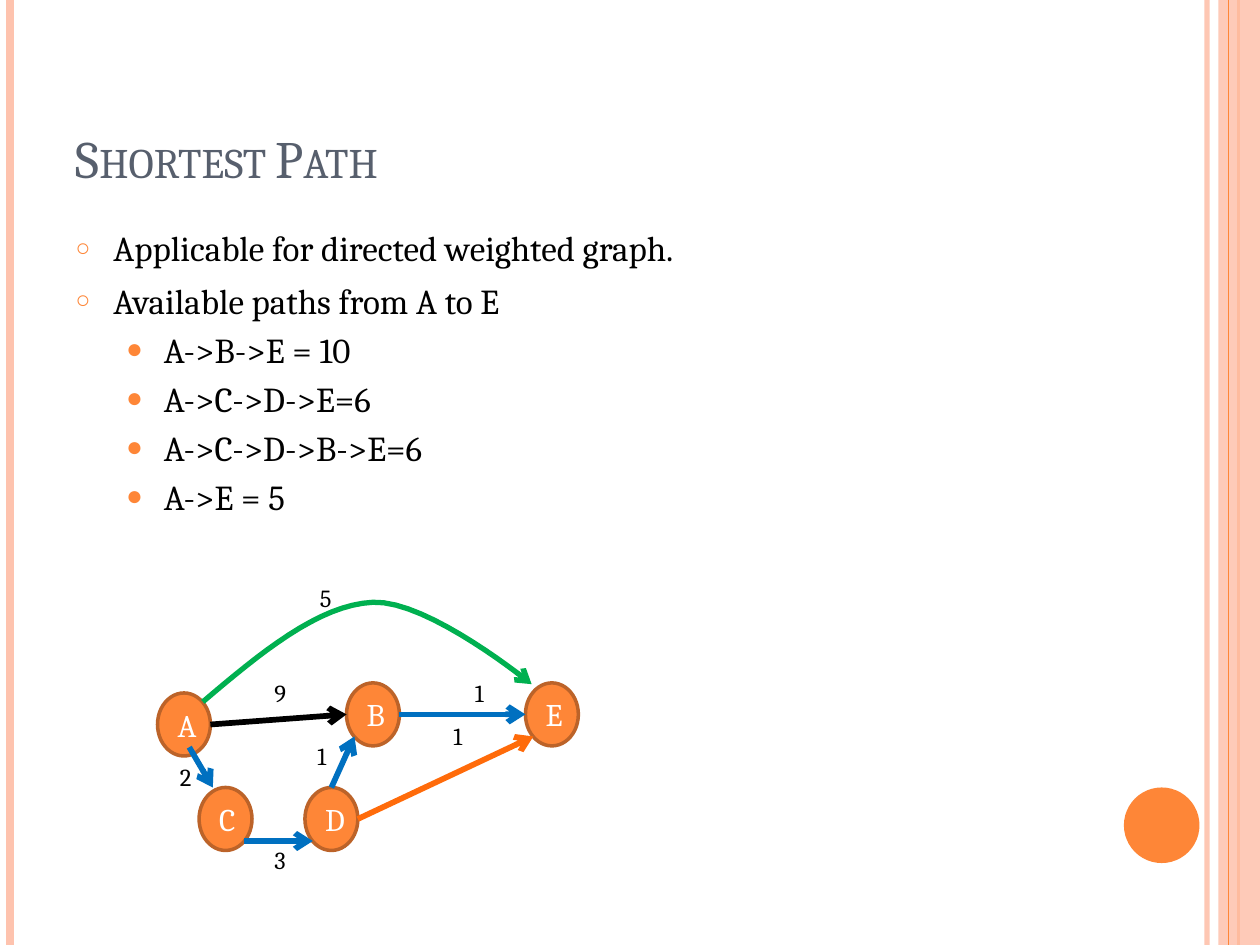
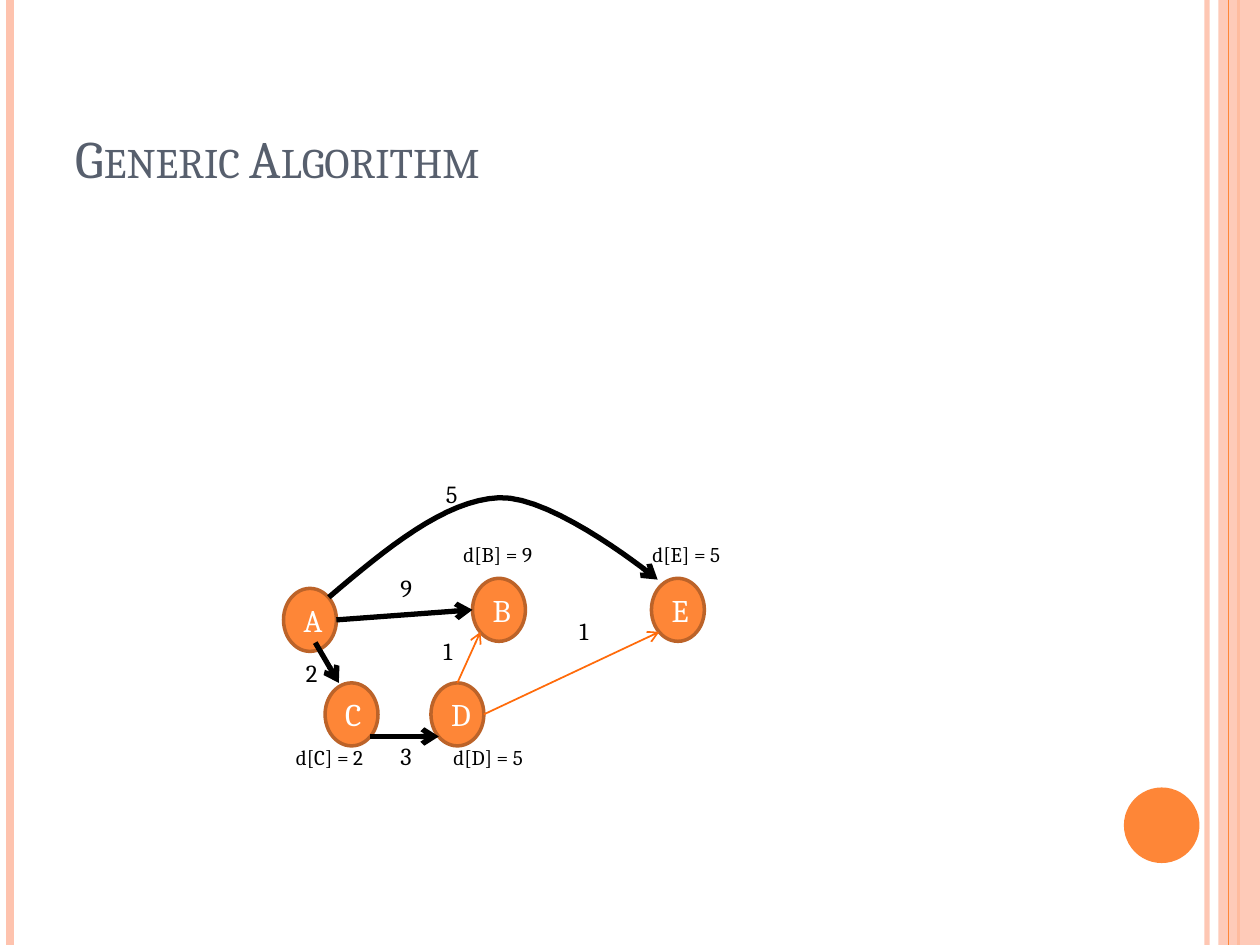
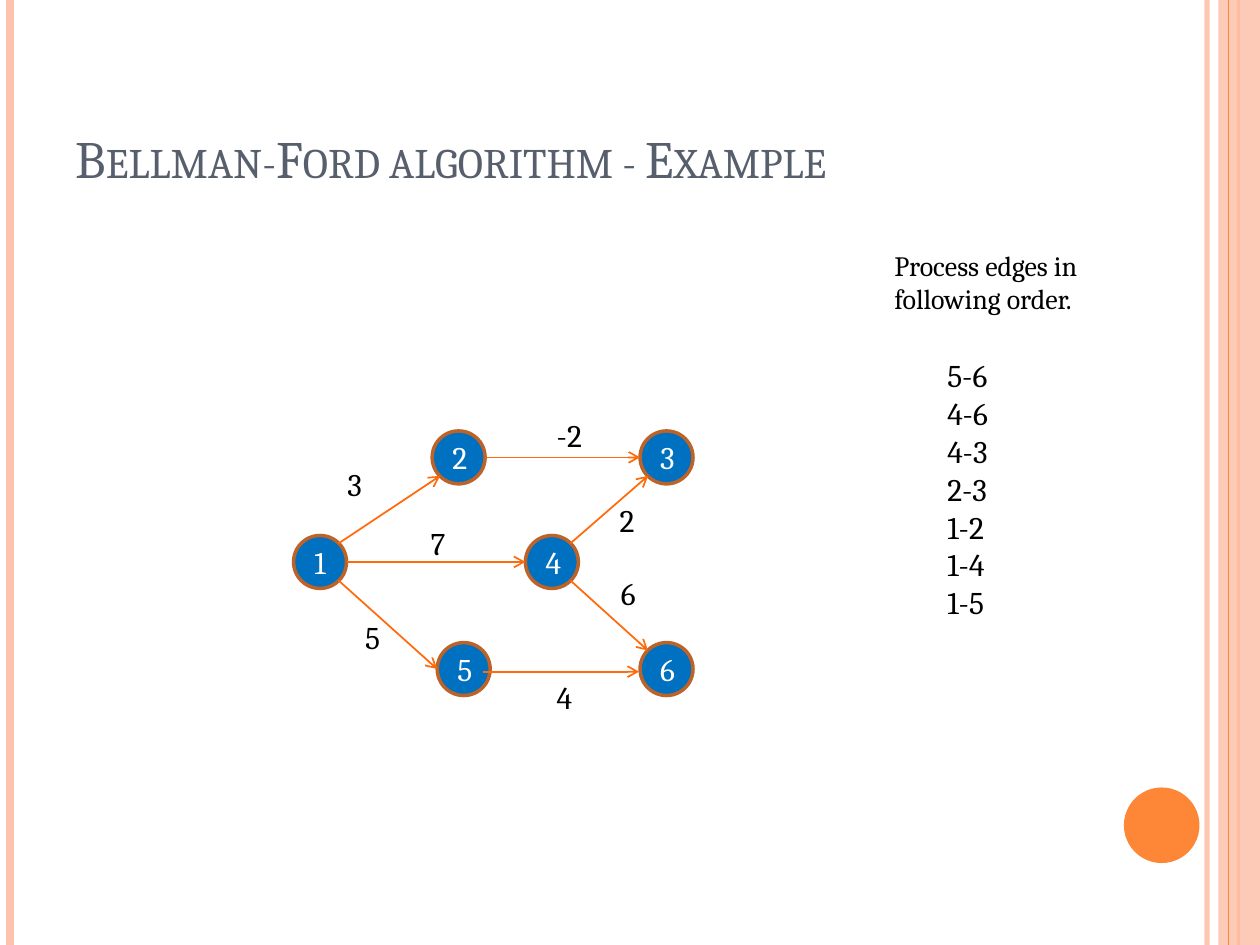
"""Build three slides on shortest paths in weighted graphs."""
from lxml import etree
from pptx import Presentation
from pptx import util as u
from pptx.dml import color
from pptx.enum import shapes, text
from pptx.oxml import ns

W, H = 10, 7.5
FONT = "Cambria"
ORANGE, PEACH, RUST, EDGE = "FE8637", "FEC3AE", "BC6329", "FF6B0A"
BLUE, GREEN, SLATE, BLACK, WHITE = "0070C0", "00B050", "575F6D", "000000", "FFFFFF"

RULES = [(9.58, PEACH, 3, 93), (0.08, PEACH, 4.5, 100), (9.83, ORANGE, 1.5, 100)]
INNER_RULE = (9.75, ORANGE, 0.75, 100)

BULLETS = [
    (0, "Applicable for directed weighted graph."),
    (0, "Available paths from A to E"),
    (1, "A->B->E = 10"),
    (1, "A->C->D->E=6"),
    (1, "A->C->D->B->E=6"),
    (1, "A->E = 5"),
]
LEVELS = [(0.3, 6, "○", 70), (0.7, 4, "●", 80)]

PORTS = {
    "n": (0.5, 0), "e": (1, 0.5), "s": (0.5, 1), "w": (0, 0.5),
    "ne": (0.85, 0.15), "se": (0.85, 0.85), "sw": (0.15, 0.85), "nw": (0.15, 0.15),
    "under": (0.6, 0.86), "over": (0.26, 0),
    "low e": (0.86, 0.55), "low w": (-0.02, 0.55),
}

LETTER_SIZE = (0.42, 0.5)
LETTERS = {"A": (0, 0), "B": (1.5, -0.08), "C": (0.33, 0.75), "D": (1.17, 0.75), "E": (2.92, -0.08)}
LETTER_EDGES = {
    "AB": ("e", "w"), "AC": ("under", "over"), "CD": ("se", "sw"),
    "DE": ("e", "sw"), "DB": ("n", "sw"), "BE": ("e", "w"),
}
WEIGHTS = {
    "AB": ("9", 0.83, -0.17), "AE": ("5", 1.19, -0.92), "AC": ("2", 0.08, 0.5),
    "CD": ("3", 0.83, 1.16), "DE": ("1", 2.25, 0.17), "DB": ("1", 1.17, 0.33),
    "BE": ("1", 2.42, -0.17),
}
ARC = [(0.36, 0.07), (0.82, -0.32), (1.28, -0.7), (1.71, -0.72),
       (2.15, -0.74), (2.97, -0.07), (2.97, -0.07)]

PATHS_ORIGIN = (1.25, 5.5)
PATHS_STYLE = {
    "AB": (BLACK, 3.25), "AC": (BLUE, 3.25), "CD": (BLUE, 3.25), "DE": (EDGE, 3.25),
    "DB": (BLUE, 3.25), "BE": (BLUE, 3.25), "AE": (GREEN, 3),
}
GENERIC_ORIGIN = (2.25, 4.67)
GENERIC_STYLE = {
    "AB": (BLACK, 3), "AC": (BLACK, 3), "CD": (BLACK, 3),
    "DE": (EDGE, 1), "DB": (EDGE, 1), "AE": (BLACK, 3),
}
DISTANCES = [("d[B] = 9", 1.33, -0.42), ("d[E] = 5", 2.83, -0.42),
             ("d[C] = 2", 0, 1.19), ("d[D] = 5", 1.25, 1.19)]

NUMBER_SIZE = (0.42, 0.42)
NUMBERS = {"1": (2.33, 4.25), "2": (3.43, 3.42), "3": (5.08, 3.42),
           "4": (4.17, 4.25), "5": (3.47, 5.1), "6": (5.08, 5.1)}
NUMBER_EDGES = {
    "12": ("ne", "sw"), "23": ("e", "w"), "56": ("low e", "low w"), "15": ("se", "w"),
    "14": ("e", "w"), "46": ("se", "nw"), "43": ("ne", "sw"),
}
NUMBER_WEIGHTS = [("3", 2.66, 3.64), ("5", 2.8, 4.86), ("-2", 4.32, 3.25), ("4", 4.32, 5.33),
                  ("7", 3.32, 4.11), ("2", 4.82, 3.93), ("6", 4.83, 4.51)]
ORDER = ["5-6", "4-6", "4-3", "2-3", "1-2", "1-4", "1-5"]
DISTANCE_BOX, WEIGHT_BOX = (0.82, 0.3), (0.31, 0.34)


def rgb(value):
    return color.RGBColor.from_string(value)


def inches(*values):
    return [u.Inches(v) for v in values]


def sub(parent, tag, **attrs):
    return etree.SubElement(parent, ns.qn(tag), attrs)


def fade(sh, percent):
    if percent < 100:
        for node in sh.element.iter(ns.qn("a:srgbClr")):
            sub(node, "a:alpha", val=str(percent * 1000))


def style(tf, size, hue):
    for p in tf.paragraphs:
        for r in p.runs:
            r.font.name, r.font.size, r.font.color.rgb = FONT, u.Pt(size), rgb(hue)


def shape(s, kind, box, fill, line=None):
    sh = s.shapes.add_shape(kind, *inches(*box))
    sh.shadow.inherit = False
    sh.fill.solid()
    sh.fill.fore_color.rgb = rgb(fill)
    if line:
        sh.line.color.rgb, sh.line.width = rgb(line), u.Pt(2)
    else:
        sh.line.fill.background()
    return sh


def stroke(sh, hue, width, arrow=True):
    sh.line.color.rgb, sh.line.width = rgb(hue), u.Pt(width)
    if arrow:
        sub(sh.element.spPr.get_or_add_ln(), "a:tailEnd", type="arrow")


def line(s, start, end, hue, width, arrow=True):
    c = s.shapes.add_connector(shapes.MSO_CONNECTOR.STRAIGHT, *inches(*start, *end))
    stroke(c, hue, width, arrow)
    sub(c.element.spPr, "a:effectLst")
    return c


def rule(s, x, hue, width, opacity):
    c = line(s, (x, 0), (x, H), hue, width, arrow=False)
    fade(c, opacity)
    return c


def decorate(prs, s):
    parts = [rule(s, *r) for r in RULES]
    band = shape(s, shapes.MSO_SHAPE.RECTANGLE, (9.67, 0, W - 9.67, H), PEACH)
    fade(band, 87)
    parts += [band, rule(s, *INNER_RULE),
              shape(s, shapes.MSO_SHAPE.OVAL, (8.92, 6.25, 0.6, 0.6), ORANGE)]
    tree = prs.slide_master.shapes.element
    for i, part in enumerate(parts):
        tree.insert(2 + i, part.element)


def place(sh, *box):
    sh.left, sh.top, sh.width, sh.height = inches(*box)
    sh.text_frame.auto_size = text.MSO_AUTO_SIZE.NONE
    return sh.text_frame


def new_slide(prs, title, layout=5):
    s = prs.slides.add_slide(prs.slide_layouts[layout])
    tf = place(s.shapes.title, 0.5, 0.3, 8.17, 1.25)
    tf.text = title
    tf.vertical_anchor = text.MSO_ANCHOR.BOTTOM
    p = tf.paragraphs[0]
    p.alignment = text.PP_ALIGN.LEFT
    style(tf, 30, SLATE)
    p.runs[0].font._element.set("cap", "small")
    return s


def bullets(s, items):
    tf = place(s.placeholders[1], 0.5, 1.75, 8.17, 5.33)
    tf.text = "\n".join(words for _, words in items)
    for i, (p, (level, _)) in enumerate(zip(tf.paragraphs, items)):
        margin, before, mark, percent = LEVELS[level]
        p.level = level
        p.space_before = u.Pt(before if i else 0)
        pPr = p._p.get_or_add_pPr()
        pPr.set("marL", str(u.Inches(margin)))
        pPr.set("indent", str(u.Inches(-0.3)))
        sub(sub(pPr, "a:buClr"), "a:srgbClr", val=ORANGE)
        sub(pPr, "a:buSzPct", val=str(percent * 1000))
        sub(pPr, "a:buChar", char=mark)
    style(tf, 20, BLACK)


def label(s, words, x, y, size, box, wrap=False):
    tf = s.shapes.add_textbox(*inches(x, y, *box)).text_frame
    tf.word_wrap = wrap
    tf.auto_size = text.MSO_AUTO_SIZE.SHAPE_TO_FIT_TEXT
    tf.text = words
    style(tf, size, BLACK)


def nodes(s, spots, size, fill, origin=(0, 0)):
    for name, (x, y) in spots.items():
        box = (origin[0] + x, origin[1] + y, *size)
        tf = shape(s, shapes.MSO_SHAPE.OVAL, box, fill, RUST).text_frame
        tf.text = name
        tf.paragraphs[0].alignment = text.PP_ALIGN.CENTER
        style(tf, 18, WHITE)


def port(spot, size, name, origin=(0, 0)):
    return [o + a + b * f for o, a, b, f in zip(origin, spot, size, PORTS[name])]


def bezier(a, b, c, d, t):
    k = 1 - t
    return [k**3 * m + 3 * k * k * t * n + 3 * k * t * t * o + t**3 * q
            for m, n, o, q in zip(a, b, c, d)]


def arc(s, origin, hue, width, steps=16):
    curve = [bezier(*ARC[i:i + 4], n / steps) for i in (0, 3) for n in range(1, steps + 1)]
    start, *rest = [inches(origin[0] + x, origin[1] + y) for x, y in [ARC[0], *curve]]
    builder = s.shapes.build_freeform(*start)
    builder.add_line_segments(rest, close=False)
    sh = builder.convert_to_shape()
    sh.fill.background()
    stroke(sh, hue, width)
    sh.shadow.inherit = False


def letter_graph(s, origin, styles):
    nodes(s, LETTERS, LETTER_SIZE, ORANGE, origin)
    for edge, look in styles.items():
        if edge in LETTER_EDGES:
            ends = [port(LETTERS[n], LETTER_SIZE, side, origin)
                    for n, side in zip(edge, LETTER_EDGES[edge])]
            line(s, *ends, *look)
        else:
            arc(s, origin, *look)
    for edge in styles:
        words, x, y = WEIGHTS[edge]
        label(s, words, origin[0] + x, origin[1] + y, 14, WEIGHT_BOX)


def number_graph(s):
    nodes(s, NUMBERS, NUMBER_SIZE, BLUE)
    for edge, sides in NUMBER_EDGES.items():
        line(s, *[port(NUMBERS[n], NUMBER_SIZE, side) for n, side in zip(edge, sides)], EDGE, 1)
    for words, x, y in NUMBER_WEIGHTS:
        label(s, words, x, y, 18, (0.25 + 0.09 * len(words), 0.4))


def main():
    prs = Presentation()
    prs.slide_width, prs.slide_height = inches(W, H)

    s = new_slide(prs, "Shortest Path", layout=1)
    decorate(prs, s)
    bullets(s, BULLETS)
    letter_graph(s, PATHS_ORIGIN, PATHS_STYLE)

    s = new_slide(prs, "Generic Algorithm")
    letter_graph(s, GENERIC_ORIGIN, GENERIC_STYLE)
    for words, x, y in DISTANCES:
        label(s, words, GENERIC_ORIGIN[0] + x, GENERIC_ORIGIN[1] + y, 12, DISTANCE_BOX)

    s = new_slide(prs, "Bellman-Ford algorithm - Example")
    number_graph(s)
    label(s, "\n".join(ORDER), 7.42, 2.78, 18, (0.57, 2.22))
    label(s, "Process edges in following order.", 7, 1.92, 16, (1.83, 0.91), wrap=True)

    prs.save("out.pptx")


if __name__ == "__main__":
    main()
